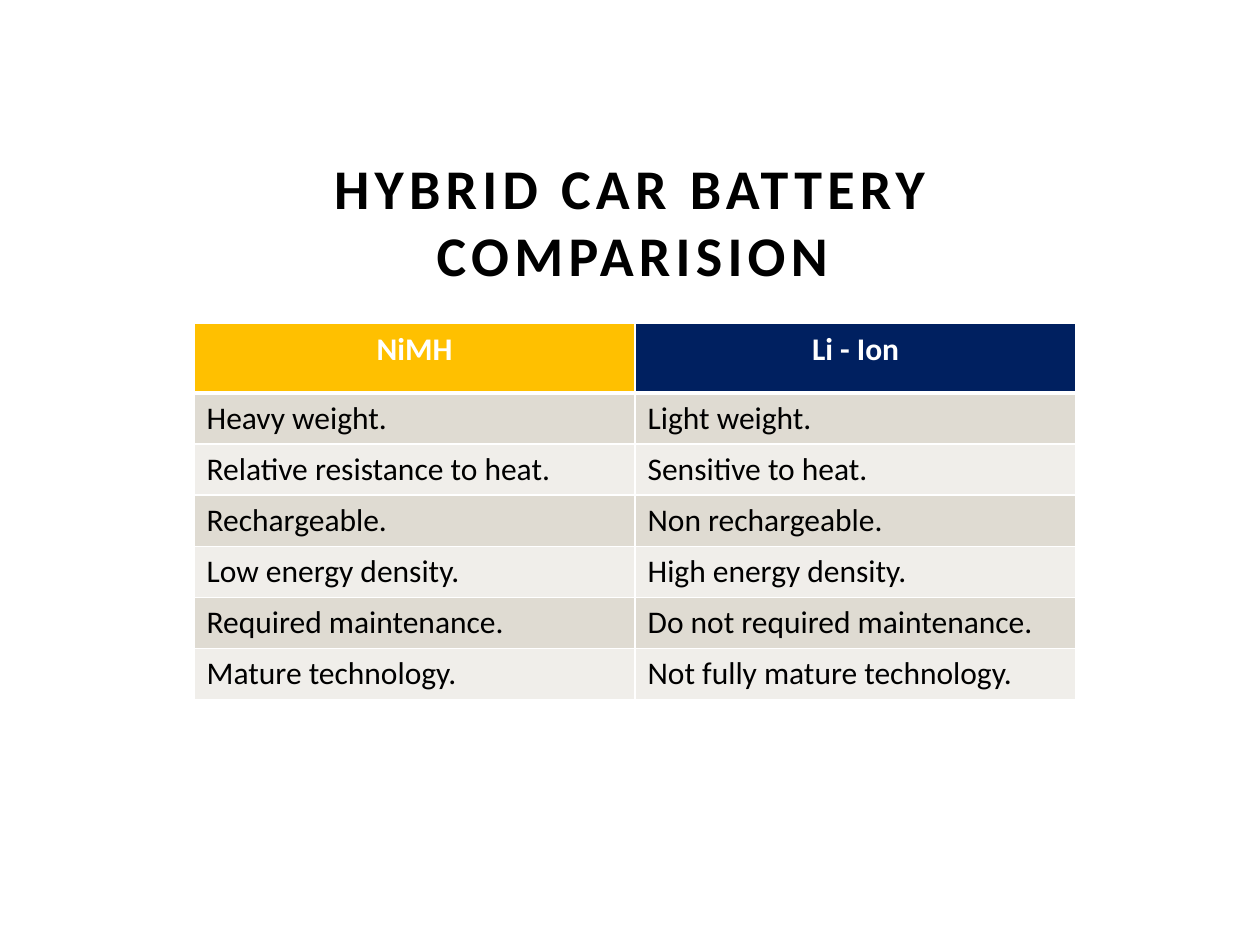
from lxml.etree import SubElement
from pptx import Presentation
from pptx.dml.color import RGBColor
from pptx.enum.text import MSO_ANCHOR as Anchor, PP_ALIGN as Align
from pptx.oxml.ns import qn
from pptx.util import Pt

BLACK = RGBColor(0x00, 0x00, 0x00)
WHITE = RGBColor(0xFF, 0xFF, 0xFF)
GOLD = RGBColor(0xFF, 0xC0, 0x00)
NAVY = RGBColor(0x00, 0x20, 0x60)
DARK_BAND = RGBColor(0xDF, 0xDB, 0xD2)
LIGHT_BAND = RGBColor(0xF0, 0xEE, 0xEA)

HEADER_FILLS = (GOLD, NAVY)
BATTERIES = [
    ("NiMH", "Li - Ion"),
    ("Heavy weight.", "Light weight."),
    ("Relative resistance to heat.", "Sensitive to heat."),
    ("Rechargeable.", "Non rechargeable."),
    ("Low energy density.", "High energy density."),
    ("Required maintenance.", "Do not required maintenance."),
    ("Mature technology.", "Not fully mature technology."),
]


class SlideBuilder:
    font_name = "Calibri"
    title_size = Pt(32)
    body_size = Pt(18)
    letter_spacing = Pt(3)

    def __init__(self, page):
        self.page = page

    def put_text(self, frame, text, size, color, bold, align):
        frame.text = text
        para = frame.paragraphs[0]
        para.alignment = align
        span = para.runs[0]
        span.font.name = self.font_name
        span.font.size = size
        span.font.bold = bold
        span.font.color.rgb = color
        return span

    def title(self, text, left, top, width, height):
        box = self.page.shapes.add_textbox(left, top, width, height)
        frame = box.text_frame
        frame.word_wrap = True
        frame.vertical_anchor = Anchor.BOTTOM
        span = self.put_text(frame, text, self.title_size, BLACK, True, Align.CENTER)
        # Letter spacing is stored in hundredths of a point
        span._r.get_or_add_rPr().set("spc", str(int(self.letter_spacing.pt * 100)))

    def borders(self, cell, top, bottom):
        properties = cell._tc.get_or_add_tcPr()
        widths = {"a:lnL": Pt(1), "a:lnR": Pt(1), "a:lnT": top, "a:lnB": bottom}
        for tag, width in widths.items():
            line = SubElement(properties, qn(tag), w=str(width))
            fill = SubElement(line, qn("a:solidFill"))
            SubElement(fill, qn("a:srgbClr"), val=str(WHITE))

    def table(self, rows, left, top, width, header_height, row_height):
        height = header_height + row_height * (len(rows) - 1)
        table = self.page.shapes.add_table(
            len(rows), len(rows[0]), left, top, width, height).table
        table.horz_banding = False
        for index, texts in enumerate(rows):
            header = index == 0
            table.rows[index].height = header_height if header else row_height
            band = DARK_BAND if index % 2 else LIGHT_BAND
            for column, text in enumerate(texts):
                cell = table.cell(index, column)
                # The rule below the header is thicker than the others
                self.borders(cell, Pt(3 if index == 1 else 1), Pt(3 if header else 1))
                cell.fill.solid()
                cell.fill.fore_color.rgb = HEADER_FILLS[column] if header else band
                self.put_text(cell.text_frame, text, self.body_size,
                              WHITE if header else BLACK, header,
                              Align.CENTER if header else Align.LEFT)


def main():
    deck = Presentation()
    deck.slide_width, deck.slide_height = Pt(720), Pt(540)
    page = deck.slides.add_slide(deck.slide_layouts[6])
    builder = SlideBuilder(page)

    # Heading
    builder.title("HYBRID CAR BATTERY COMPARISION",
                  Pt(108), Pt(82.8), Pt(506.9), Pt(85))

    # Battery comparison
    builder.table(BATTERIES, Pt(110.9), Pt(185), Pt(504), Pt(39.6), Pt(29.2))

    deck.save("out.pptx")


if __name__ == "__main__":
    main()
